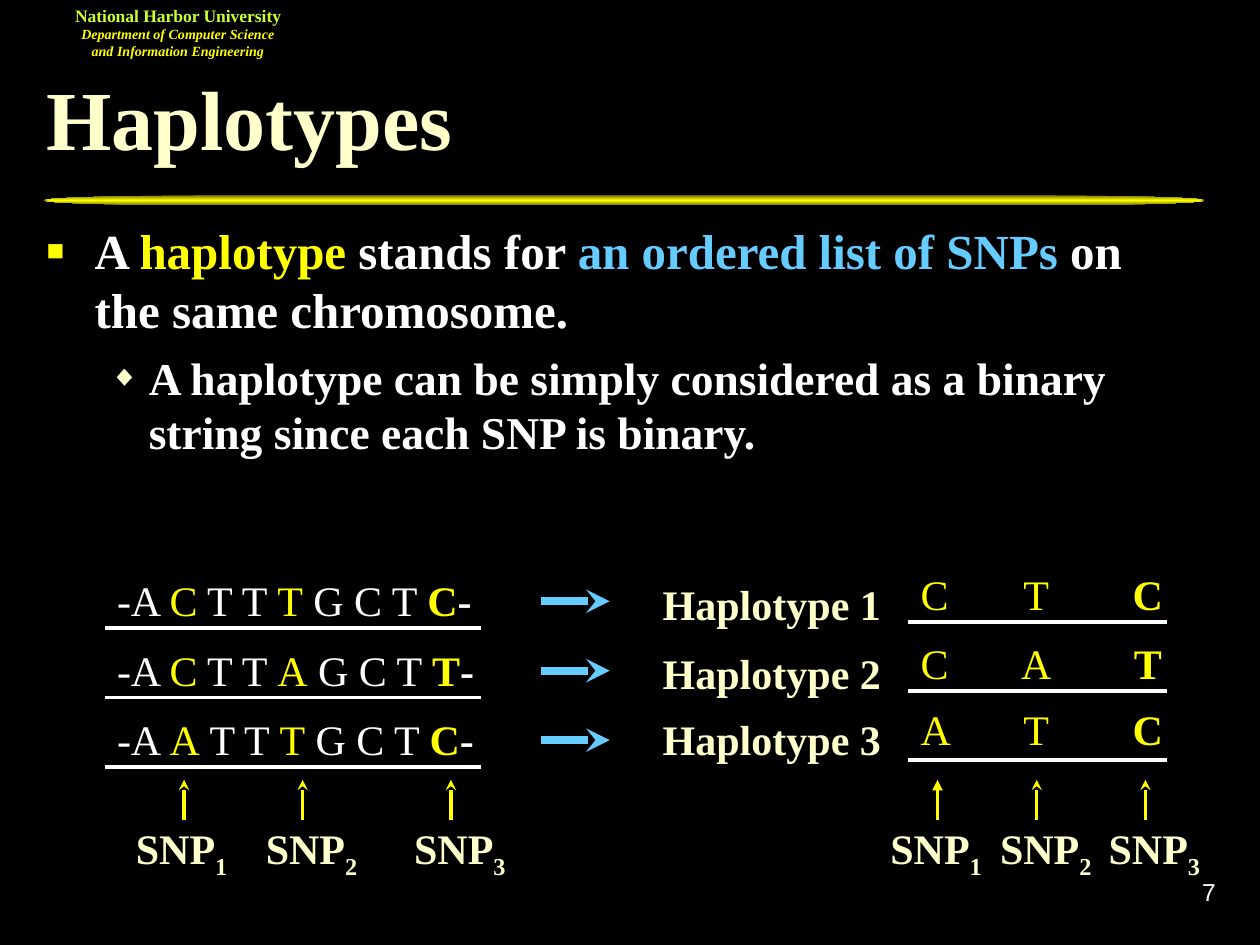
from dataclasses import dataclass

from lxml import etree
from pptx import Presentation
from pptx import util as u
from pptx.dml import color
from pptx.enum import shapes, text
from pptx.oxml import ns


@dataclass(frozen=True)
class Theme:
    serif: str = "Times New Roman"
    sans: str = "Arial"
    background: str = "000000"
    white: str = "FFFFFF"
    cream: str = "FFFFCC"
    yellow: str = "FFFF00"
    olive: str = "767600"
    lime: str = "CCFF33"
    blue: str = "66CCFF"
    title: float = 48
    body: float = 28
    detail: float = 26
    label: float = 24
    number: float = 14
    school: float = 10
    department: float = 8


def add_xml(parent, tag, **attributes):
    node = etree.SubElement(parent, ns.qn(tag))
    for name, value in attributes.items():
        node.set(name, str(value))
    return node


class Board:
    """Holds the theme and the current slide; all lengths are in centimetres."""

    def __init__(self, page, theme):
        self.page = page
        self.theme = theme
        page.background.fill.solid()
        page.background.fill.fore_color.rgb = color.RGBColor.from_string(theme.background)

    def box(self, left, top, width, height, anchor=text.MSO_ANCHOR.TOP, inset=(0.25, 0.13)):
        shape = self.page.shapes.add_textbox(u.Cm(left), u.Cm(top), u.Cm(width), u.Cm(height))
        side, edge = (u.Cm(value) for value in inset)
        frame = {"word_wrap": True, "vertical_anchor": anchor, "margin_left": side,
                 "margin_right": side, "margin_top": edge, "margin_bottom": edge}
        for name, value in frame.items():
            setattr(shape.text_frame, name, value)
        return shape.text_frame

    def para(self, frame, spans, size, first=True, font=None, **formats):
        """Write (text, colour, font formats) spans into one paragraph."""
        para = frame.paragraphs[0] if first else frame.add_paragraph()
        for name, value in formats.items():
            setattr(para, name, value)
        for words, tint, style in spans:
            span = para.add_run()
            span.text = words
            style = dict(style)
            baseline = style.pop("baseline", None)
            style = {"name": font or self.theme.serif, "size": u.Pt(size), **style}
            for name, value in style.items():
                setattr(span.font, name, value)
            span.font.color.rgb = color.RGBColor.from_string(tint)
            if baseline:
                span._r.get_or_add_rPr().set("baseline", str(baseline))
        return para

    def bullet(self, para, mark, tint, percent, left, hang):
        props = para._p.get_or_add_pPr()
        props.set("marL", str(u.Cm(left)))
        props.set("indent", str(-u.Cm(hang)))
        add_xml(add_xml(props, "a:buClr"), "a:srgbClr", val=tint)
        add_xml(props, "a:buSzPct", val=percent * 1000)
        add_xml(props, "a:buFont", typeface=self.theme.sans)
        add_xml(props, "a:buChar", char=mark)

    def tabs(self, para, stops):
        tab_list = add_xml(para._p.get_or_add_pPr(), "a:tabLst")
        for stop in stops:
            add_xml(tab_list, "a:tab", pos=u.Cm(stop), algn="ctr")

    def line(self, start, end, tint, width, head=None):
        line = self.page.shapes.add_connector(
            shapes.MSO_CONNECTOR.STRAIGHT, *(u.Cm(value) for value in (*start, *end)))
        line.line.color.rgb = color.RGBColor.from_string(tint)
        line.line.width = u.Pt(width)
        if head:
            add_xml(line.line._get_or_add_ln(), "a:tailEnd", type=head)
        add_xml(line._element.spPr, "a:effectLst")

    def rule(self, left, top, width, height):
        """Draw the title rule, shaded from its centre outwards."""
        bar = self.page.shapes.add_shape(
            shapes.MSO_SHAPE.FLOWCHART_TERMINATOR,
            *(u.Cm(value) for value in (left, top, width, height)))
        bar.shadow.inherit = False
        bar.line.fill.background()
        bar.fill.gradient()
        for stop, tint in zip(bar.fill.gradient_stops, (self.theme.yellow, self.theme.olive)):
            stop.color.rgb = color.RGBColor.from_string(tint)
        gradient = bar._element.spPr.find(ns.qn("a:gradFill"))
        gradient.remove(gradient.find(ns.qn("a:lin")))
        centre = add_xml(gradient, "a:path", path="rect")
        add_xml(centre, "a:fillToRect", l=50000, t=50000, r=50000, b=50000)


BOLD = {"bold": True}
ROW_PITCH = 1.4
HAPLOTYPES = ("CTC", "CAT", "ATC")
ALLELE_TOPS = (11.33, 12.73, 14.05)
# (label left, arrow x, arrowhead) for each SNP, numbered within its group
SNP_GROUPS = (
    ((2.49, 3.71, "stealth"), (5.11, 6.1, "stealth"), (8.1, 9.09, "stealth")),
    ((17.7, 18.9, "triangle"), (19.91, 20.9, "stealth"), (22.1, 23.09, "stealth")),
)


def add_header(board):
    look = board.theme
    board.rule(0.89, 3.94, 23.39, 0.2)
    frame = board.box(1.09, -0.08, 5, 1.45, inset=(0.33, 0.18))
    centre = text.PP_ALIGN.CENTER
    board.para(frame, [("National Harbor University", look.lime, BOLD)],
               look.school, alignment=centre)
    board.para(frame, [("Department of Computer Science and Information Engineering",
                        look.yellow, {"bold": True, "italic": True})],
               look.department, first=False, alignment=centre)
    middle = text.MSO_ANCHOR.MIDDLE
    board.para(board.box(19.48, 17.35, 5.28, 1.27, middle), [("7", look.white, {})],
               look.number, font=look.sans, alignment=text.PP_ALIGN.RIGHT)
    board.para(board.box(0.69, 1.32, 24.08, 2.59, middle), [("Haplotypes", look.cream, BOLD)],
               look.title, line_spacing=0.7)


def add_body(board):
    look = board.theme
    frame = board.box(0.69, 4.32, 23.39, 13.59)
    point = board.para(frame, [
        ("A ", look.white, BOLD),
        ("haplotype", look.yellow, BOLD),
        (" stands for ", look.white, BOLD),
        ("an ordered list of SNPs", look.blue, BOLD),
        (" on the same chromosome.", look.white, BOLD),
    ], look.body, space_before=u.Pt(7))
    board.bullet(point, "■", look.yellow, 60, 0.97, 0.97)
    detail = board.para(frame, [
        ("A haplotype can be simply considered as a binary string since each SNP is binary.",
         look.white, BOLD),
    ], look.detail, first=False, level=1, space_before=u.Pt(6.5))
    board.bullet(detail, "◆", look.cream, 65, 2.06, 0.79)


def add_haplotype(board, index, alleles, allele_top):
    """Draw one row: chromosome, arrow, haplotype name and its alleles."""
    look = board.theme
    shift = index * ROW_PITCH
    first, second, third = alleles
    board.para(board.box(2.11, 11.46 + shift, 8.4, 1.27), [
        ("-A ", look.white, {}), (first, look.yellow, {}),
        (" T T ", look.white, {}), (second, look.yellow, {}),
        (" G C T ", look.white, {}), (third, look.yellow, BOLD),
        ("-", look.white, BOLD),
    ], look.label)
    for left, right, y in ((2.11, 9.7, 12.66), (18.31, 23.53, 12.53)):
        board.line((left, y + shift), (right, y + shift), look.white, 2.25)
    board.line((10.9, 12.12 + shift), (12.29, 12.12 + shift), look.blue, 4.5, "stealth")
    board.para(board.box(13.11, allele_top + 0.2, 5.41, 1.27),
               [(f"Haplotype {index + 1}", look.cream, BOLD)], look.label)
    para = board.para(board.box(18.31, allele_top, 5.59, 1.27),
                      [(f"{first}\t{second}\t", look.yellow, {}), (third, look.yellow, BOLD)],
                      look.label)
    board.tabs(para, (2.33, 4.58))


def add_snp(board, number, left, x, head):
    look = board.theme
    board.para(board.box(left, 16.46, 2.41, 1.42),
               [("SNP", look.cream, BOLD),
                (str(number), look.cream, {"bold": True, "baseline": -25000})], look.label)
    board.line((x, 16.54), (x, 15.72), look.yellow, 2, head)


def main():
    deck = Presentation()
    deck.slide_width, deck.slide_height = u.Cm(25.4), u.Cm(19.05)
    board = Board(deck.slides.add_slide(deck.slide_layouts[6]), Theme())
    add_header(board)
    add_body(board)
    for index, (alleles, top) in enumerate(zip(HAPLOTYPES, ALLELE_TOPS)):
        add_haplotype(board, index, alleles, top)
    for group in SNP_GROUPS:
        for number, marker in enumerate(group, 1):
            add_snp(board, number, *marker)
    deck.save("out.pptx")


if __name__ == "__main__":
    main()
